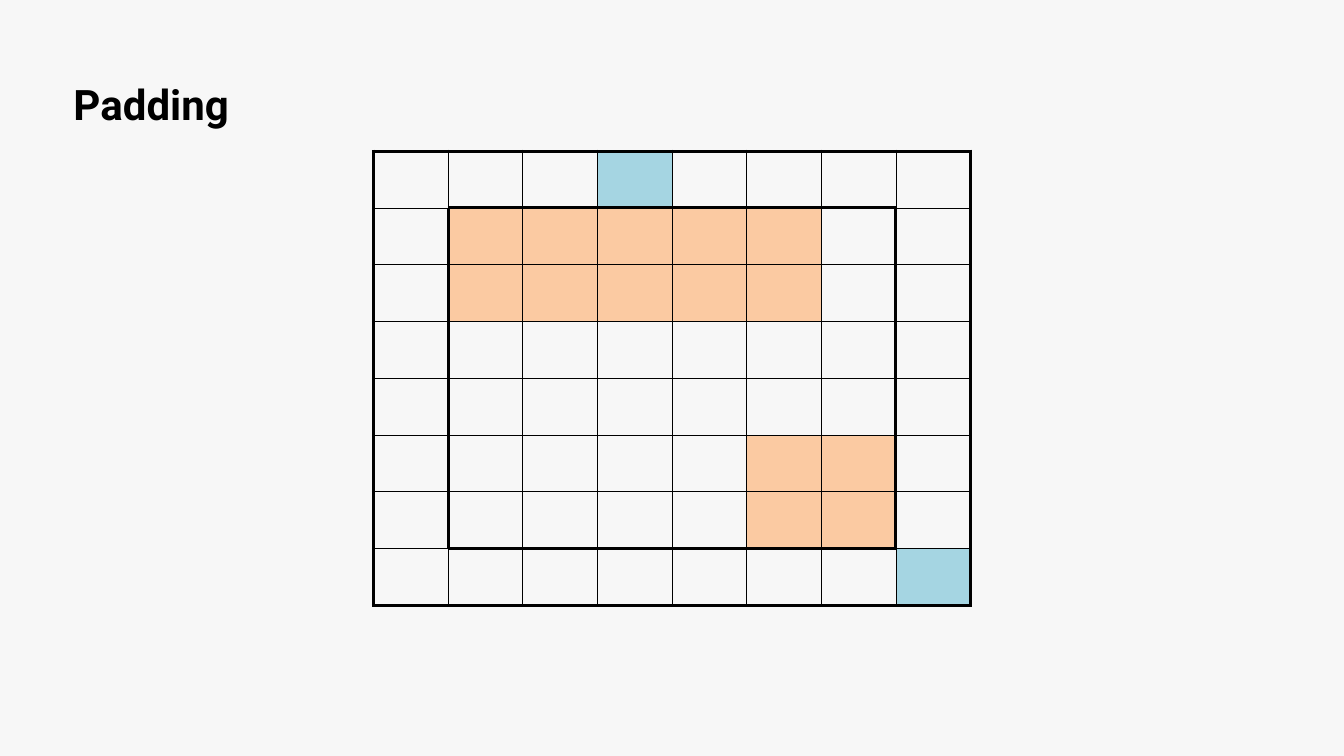
"""Build the padding slide: an 8 by 8 grid with a framed 6 by 6 core."""
from lxml import etree
from pptx import Presentation
from pptx import util as u
from pptx.dml.color import RGBColor
from pptx.enum import shapes, text
from pptx.oxml import ns

PX = 9144
COLORS = {"page": "F7F7F7", "ink": "000000", "core": "FBCAA2", "pad": "A5D5E2"}
TITLE = "Padding"
GRID = [
    "...p....",
    ".ccccc..",
    ".ccccc..",
    "........",
    "........",
    ".....cc.",
    ".....cc.",
    ".......p",
]
FILLS = {"c": "core", "p": "pad"}
N = len(GRID)
PAGE_W, PAGE_H, BLEED = 2667, 1500, 3
LEFT, TOP, WIDTH, HEIGHT = 741, 300, 1185, 901
THIN, THICK = 1, 5


def px(n):
    return u.Emu(n * PX)


def rgb(name):
    return RGBColor.from_string(COLORS[name])


def edge_width(line, lane):
    on_frame = line in (0, N)
    on_core = line in (1, N - 1) and 0 < lane < N - 1
    return THICK if on_frame or on_core else THIN


def add_border(cell, tag, width):
    ln = etree.SubElement(cell._tc.get_or_add_tcPr(), ns.qn(tag), w=str(u.Pt(width)))
    fill = etree.SubElement(ln, ns.qn("a:solidFill"))
    etree.SubElement(fill, ns.qn("a:srgbClr"), val=COLORS["ink"])


def add_backdrop(s):
    sp = s.shapes.add_shape(
        shapes.MSO_SHAPE.RECTANGLE,
        px(-BLEED), px(-BLEED), px(PAGE_W + 2 * BLEED), px(PAGE_H + 2 * BLEED),
    )
    sp.shadow.inherit = False
    sp.fill.solid()
    sp.fill.fore_color.rgb = rgb("page")
    sp.line.fill.background()


def add_title(s):
    tf = s.shapes.add_textbox(px(130), px(151), px(340), px(110)).text_frame
    tf.margin_left = tf.margin_right = tf.margin_top = tf.margin_bottom = px(5)
    tf.word_wrap = False
    tf.auto_size = text.MSO_AUTO_SIZE.SHAPE_TO_FIT_TEXT
    tf.vertical_anchor = text.MSO_ANCHOR.MIDDLE
    tf.text = TITLE
    p = tf.paragraphs[0]
    p.alignment = text.PP_ALIGN.CENTER
    font = p.runs[0].font
    font.name, font.size, font.bold = "Roboto", u.Pt(60), True
    font.color.rgb = rgb("ink")


def add_grid(s):
    table = s.shapes.add_table(N, N, px(LEFT), px(TOP), px(WIDTH), px(HEIGHT)).table
    table.first_row = table.horz_banding = False
    for col in table.columns:
        col.width = px(WIDTH) // N
    for row in table.rows:
        row.height = px(HEIGHT) // N
    for r, marks in enumerate(GRID):
        for c, mark in enumerate(marks):
            cell = table.cell(r, c)
            edges = {"a:lnL": (c, r), "a:lnR": (c + 1, r), "a:lnT": (r, c), "a:lnB": (r + 1, c)}
            for tag, (line, lane) in edges.items():
                add_border(cell, tag, edge_width(line, lane))
            if mark in FILLS:
                cell.fill.solid()
                cell.fill.fore_color.rgb = rgb(FILLS[mark])
            else:
                cell.fill.background()


def main():
    prs = Presentation()
    prs.slide_width, prs.slide_height = px(PAGE_W), px(PAGE_H)
    s = prs.slides.add_slide(prs.slide_layouts[6])
    add_backdrop(s)
    add_title(s)
    add_grid(s)
    prs.save("out.pptx")


if __name__ == "__main__":
    main()
